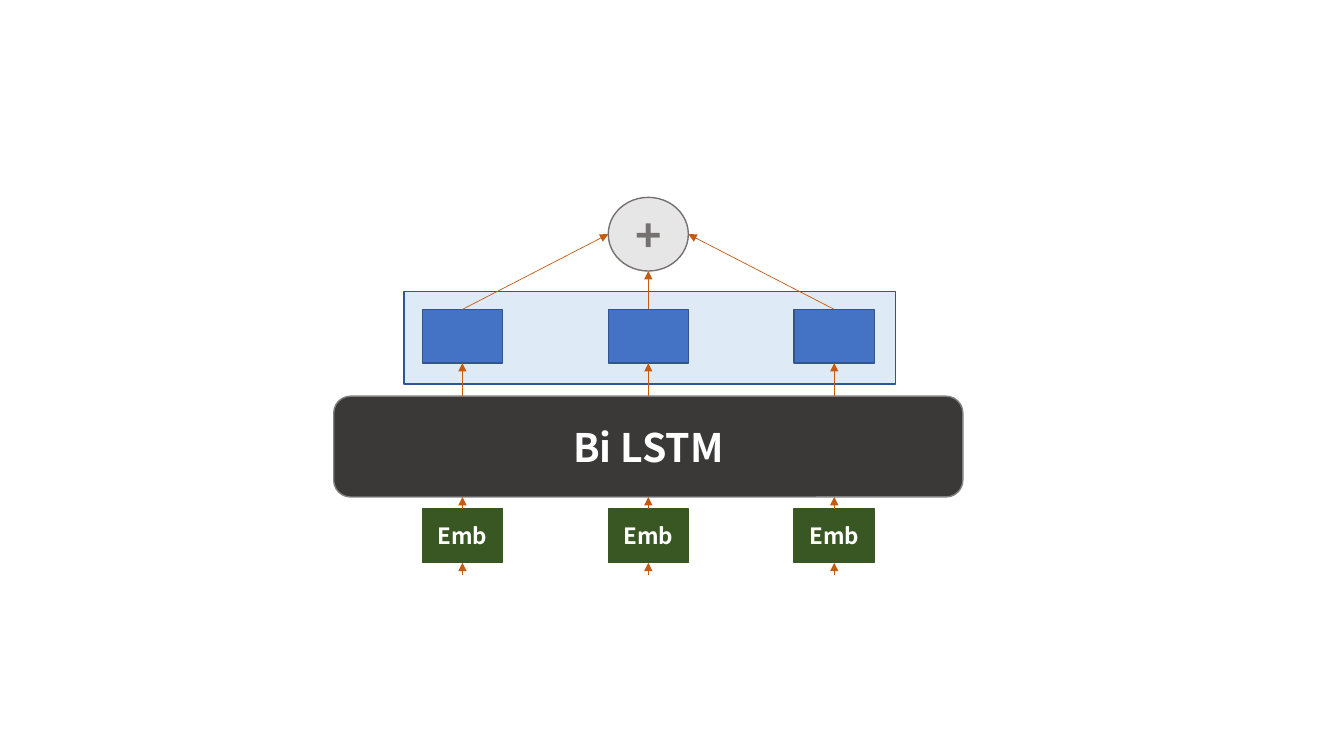
from pptx import Presentation
from pptx import util as u
from pptx.dml.color import RGBColor
from pptx.enum import shapes, text
from pptx.oxml.ns import qn
from lxml import etree

FONT = "Noto Sans CJK JP"
COLORS = {
    "panel": "DEEBF7", "panel_line": "325491", "state": "4472C4",
    "lstm": "3B3838", "lstm_line": "808080", "emb": "385723",
    "sum": "E7E6E6", "sum_line": "767171", "arrow": "C55A11", "white": "FFFFFF",
}
KINDS = shapes.MSO_SHAPE
CELL_WIDTH, CELL_HEIGHT = 57.2, 38.4
COLUMN_STEP = 132.8


def color(name):
    return RGBColor.from_string(COLORS[name])


def add_block(page, kind, box, fill, line, label="", size=16, ink="white"):
    block = page.shapes.add_shape(kind, *(u.Pt(value) for value in box))
    block.shadow.inherit = False
    block.fill.solid()
    block.fill.fore_color.rgb = color(fill)
    block.line.color.rgb = color(line)
    block.line.width = u.Pt(1)
    if label:
        frame = block.text_frame
        frame.margin_left = frame.margin_right = 0
        frame.margin_top = frame.margin_bottom = 0
        frame.vertical_anchor = text.MSO_ANCHOR.MIDDLE
        para = frame.paragraphs[0]
        para.alignment = text.PP_ALIGN.CENTER
        span = para.add_run()
        span.text = label
        span.font.name, span.font.size, span.font.bold = FONT, u.Pt(size), True
        span.font.color.rgb = color(ink)


def add_arrow(page, start, end):
    arrow = page.shapes.add_connector(
        shapes.MSO_CONNECTOR.STRAIGHT, *(u.Pt(value) for value in (*start, *end)))
    arrow.line.color.rgb = color("arrow")
    arrow.line.width = u.Pt(0.5)
    etree.SubElement(arrow.line._get_or_add_ln(), qn("a:tailEnd"), type="triangle")
    etree.SubElement(arrow._element.spPr, qn("a:effectLst"))


def add_network(page, box):
    left, top, width, height = box
    middle = left + width / 2
    centers = [middle + step * COLUMN_STEP for step in (-1, 0, 1)]
    bottom = top + height
    sum_height = 52.6
    state_top, lstm_top, lstm_height, emb_top = top + 80, top + 142, 72, top + 222.6

    # Hidden-state panel and LSTM layer
    add_block(page, KINDS.RECTANGLE, (left + 50.2, top + 67, 351, 66.2),
              "panel", "panel_line")
    add_block(page, KINDS.ROUNDED_RECTANGLE, (left, lstm_top, width, lstm_height),
              "lstm", "lstm_line", "Bi LSTM", 28)

    # One state and one embedding per column
    for center in centers:
        cell_left = center - CELL_WIDTH / 2
        add_block(page, KINDS.RECTANGLE, (cell_left, state_top, CELL_WIDTH, CELL_HEIGHT),
                  "state", "panel_line")
        add_block(page, KINDS.RECTANGLE, (cell_left, emb_top, CELL_WIDTH, CELL_HEIGHT),
                  "emb", "emb", "Emb")

    # Sum node
    add_block(page, KINDS.OVAL, (middle - CELL_WIDTH / 2, top, CELL_WIDTH, sum_height),
              "sum", "sum_line", "+", 32, "sum_line")

    # Upward arrows in each column, then into the sum node
    sum_ports = [(middle - CELL_WIDTH / 2, top + sum_height / 2),
                 (middle, top + sum_height),
                 (middle + CELL_WIDTH / 2, top + sum_height / 2)]
    for center, port in zip(centers, sum_ports):
        for start, end in ((lstm_top, state_top + CELL_HEIGHT),
                           (emb_top, lstm_top + lstm_height),
                           (bottom, emb_top + CELL_HEIGHT)):
            add_arrow(page, (center, start), (center, end))
        add_arrow(page, (center, state_top), port)


def main():
    deck = Presentation()
    deck.slide_width, deck.slide_height = u.Pt(960), u.Pt(540)
    page = deck.slides.add_slide(deck.slide_layouts[6])
    add_network(page, (238.4, 141, 449.4, 270))
    deck.save("out.pptx")


if __name__ == "__main__":
    main()
